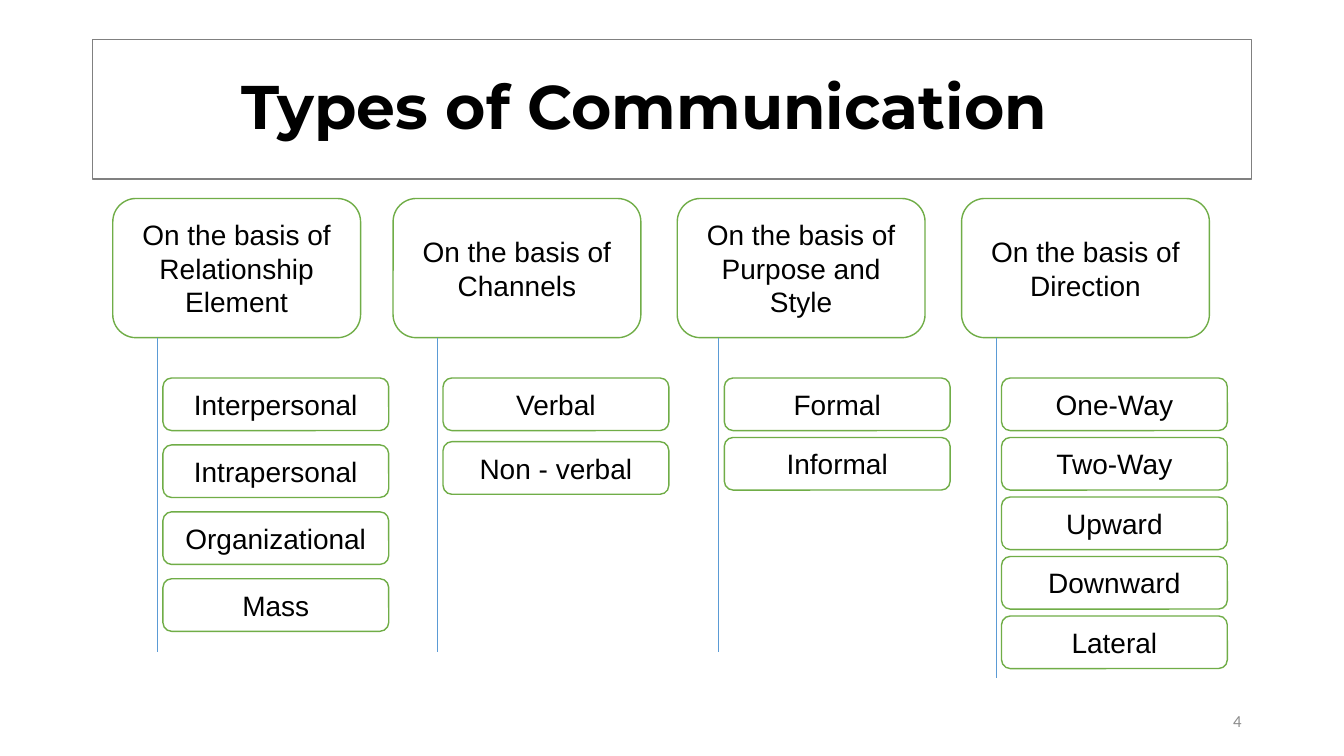
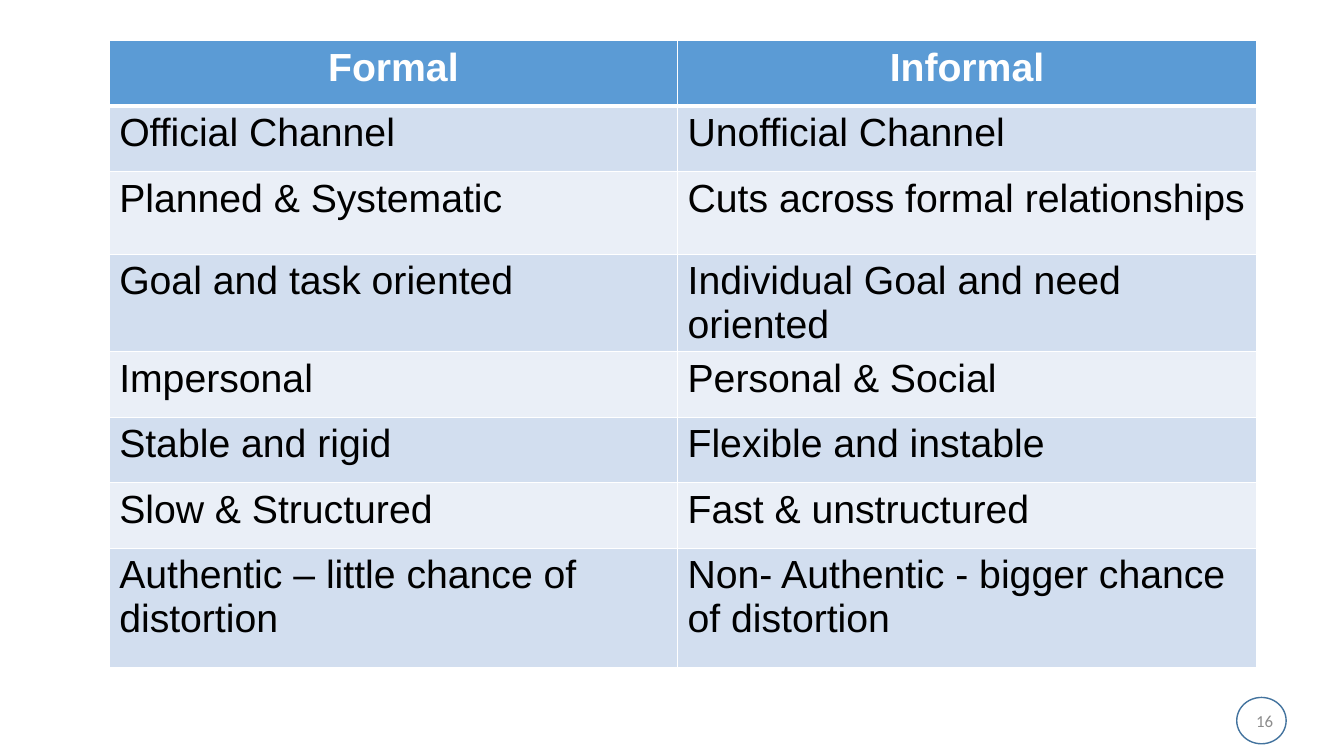
from dataclasses import dataclass

from lxml.etree import SubElement
from pptx import Presentation
from pptx.dml.color import RGBColor
from pptx.enum.shapes import MSO_CONNECTOR, MSO_SHAPE
from pptx.enum.text import MSO_ANCHOR, MSO_AUTO_SIZE, PP_ALIGN
from pptx.oxml.ns import qn
from pptx.presentation import Presentation as Deck
from pptx.shapes.autoshape import Shape
from pptx.slide import Slide
from pptx.table import _Cell as Cell
from pptx.text.text import TextFrame
from pptx.util import Pt


@dataclass(frozen=True)
class Theme:
    ink: str = "000000"
    paper: str = "FFFFFF"
    frame: str = "808080"
    box_line: str = "70AD47"
    accent: str = "5B9BD5"
    ring: str = "43739E"
    page_number: str = "8C8C8C"
    bands: tuple[str, str] = ("D2DEEF", "EAEFF7")
    title_font: str = "Montserrat"
    body_font: str = "Arial"
    number_font: str = "Calibri"
    title_size: float = 44
    box_size: float = 20
    table_size: float = 28
    number_size: float = 12


@dataclass(frozen=True)
class Branch:
    """A heading, the stem below it and the boxes hanging from the stem."""
    heading: str
    items: tuple[str, ...]
    left: float
    stem_x: float
    stem_end: float
    pitch: float


THEME = Theme()

BRANCHES = (
    Branch("On the basis of Relationship Element",
           ("Interpersonal", "Intrapersonal", "Organizational", "Mass"),
           80.6, 112.4, 466, 47.8),
    Branch("On the basis of Channels", ("Verbal", "Non - verbal"),
           280.8, 312.5, 466, 45.5),
    Branch("On the basis of Purpose and Style", ("Formal", "Informal"),
           483.8, 513.4, 466, 42.5),
    Branch("On the basis of Direction",
           ("One-Way", "Two-Way", "Upward", "Downward", "Lateral"),
           686.9, 711.4, 484.6, 42.5),
)
HEADING_TOP, HEADING_WIDTH, HEADING_HEIGHT = 141.8, 177, 99.4
ITEM_TOP, ITEM_WIDTH, ITEM_HEIGHT, ITEM_GAP = 270, 161.3, 37.6, 4

COMPARISON = (
    ("Formal", "Informal"),
    ("Official Channel", "Unofficial Channel"),
    ("Planned & Systematic", "Cuts across formal relationships"),
    ("Goal and task oriented", "Individual Goal and need oriented"),
    ("Impersonal", "Personal & Social"),
    ("Stable and rigid", "Flexible and instable"),
    ("Slow & Structured", "Fast & unstructured"),
    ("Authentic – little chance of distortion",
     "Non- Authentic - bigger chance of distortion"),
)
COLUMN_WIDTHS = (406, 413.5)
ROW_HEIGHTS = (46.8, 46.8, 59, 59, 46.8, 46.8, 46.8, 85)


def rgb(color: str) -> RGBColor:
    return RGBColor.from_string(color)


def write(frame: TextFrame, text: str, font: str, size: float, color: str,
          align: PP_ALIGN = PP_ALIGN.CENTER, bold: bool = False,
          anchor: MSO_ANCHOR = MSO_ANCHOR.MIDDLE) -> None:
    frame.text = text
    frame.word_wrap = True
    frame.vertical_anchor = anchor
    paragraph = frame.paragraphs[0]
    paragraph.alignment = align
    for run in paragraph.runs:
        run.font.name = font
        run.font.size = Pt(size)
        run.font.bold = bold
        run.font.color.rgb = rgb(color)


def add_outlined(slide: Slide, preset: MSO_SHAPE, left: float, top: float,
                 width: float, height: float, line: str) -> Shape:
    shape = slide.shapes.add_shape(preset, Pt(left), Pt(top), Pt(width), Pt(height))
    shape.shadow.inherit = False
    shape.fill.background()
    shape.line.color.rgb = rgb(line)
    shape.line.width = Pt(1)
    return shape


def add_box(slide: Slide, text: str, left: float, top: float,
            width: float, height: float) -> None:
    box = add_outlined(slide, MSO_SHAPE.ROUNDED_RECTANGLE, left, top, width, height,
                       THEME.box_line)
    box.fill.solid()
    box.fill.fore_color.rgb = rgb(THEME.paper)
    write(box.text_frame, text, THEME.body_font, THEME.box_size, THEME.ink)


def add_stem(slide: Slide, x: float, top: float, bottom: float) -> None:
    stem = slide.shapes.add_connector(MSO_CONNECTOR.STRAIGHT,
                                      Pt(x), Pt(top), Pt(x), Pt(bottom))
    stem.line.color.rgb = rgb(THEME.accent)
    stem.line.width = Pt(0.5)
    SubElement(stem.element.spPr, qn("a:effectLst"))


def add_page_number(slide: Slide, number: int, left: float) -> None:
    corner = slide.shapes.add_textbox(Pt(left), Pt(500.5), Pt(216), Pt(28.8))
    write(corner.text_frame, str(number), THEME.number_font, THEME.number_size,
          THEME.page_number, PP_ALIGN.RIGHT)


def add_title(slide: Slide, text: str) -> None:
    title = slide.shapes.title
    title.left, title.top, title.width, title.height = Pt(66), Pt(28), Pt(828), Pt(100)
    title.line.color.rgb = rgb(THEME.frame)
    title.line.width = Pt(1)
    frame = title.text_frame
    write(frame, text, THEME.title_font, THEME.title_size, THEME.ink, bold=True)
    frame.auto_size = MSO_AUTO_SIZE.NONE
    frame.margin_right = Pt(46)
    frame.paragraphs[0].line_spacing = 0.9


def add_branch(slide: Slide, branch: Branch) -> None:
    add_box(slide, branch.heading, branch.left, HEADING_TOP, HEADING_WIDTH, HEADING_HEIGHT)
    add_stem(slide, branch.stem_x, HEADING_TOP + HEADING_HEIGHT, branch.stem_end)
    for index, item in enumerate(branch.items):
        add_box(slide, item, branch.stem_x + ITEM_GAP, ITEM_TOP + index * branch.pitch,
                ITEM_WIDTH, ITEM_HEIGHT)


def set_borders(cell: Cell, top: float, bottom: float) -> None:
    properties = cell._tc.get_or_add_tcPr()
    for side, width in (("L", 1), ("R", 1), ("T", top), ("B", bottom)):
        border = SubElement(properties, qn(f"a:ln{side}"), w=str(Pt(width)))
        fill = SubElement(border, qn("a:solidFill"))
        SubElement(fill, qn("a:srgbClr"), val=THEME.paper)


def add_comparison(slide: Slide) -> None:
    table = slide.shapes.add_table(
        len(COMPARISON), len(COLUMN_WIDTHS), Pt(78), Pt(29),
        Pt(sum(COLUMN_WIDTHS)), Pt(sum(ROW_HEIGHTS))).table
    for column, width in zip(table.columns, COLUMN_WIDTHS):
        column.width = Pt(width)
    for index, (row, height, texts) in enumerate(zip(table.rows, ROW_HEIGHTS, COMPARISON)):
        row.height = Pt(height)
        header = index == 0
        for cell, text in zip(row.cells, texts):
            set_borders(cell, top=3 if index == 1 else 1, bottom=3 if header else 1)
            cell.fill.solid()
            cell.fill.fore_color.rgb = rgb(
                THEME.accent if header else THEME.bands[(index - 1) % 2])
            write(cell.text_frame, text, THEME.body_font, THEME.table_size,
                  THEME.paper if header else THEME.ink,
                  PP_ALIGN.CENTER if header else PP_ALIGN.LEFT,
                  bold=header, anchor=MSO_ANCHOR.TOP)


def build_types_slide(deck: Deck) -> None:
    slide = deck.slides.add_slide(deck.slide_layouts[5])
    add_title(slide, "Types of Communication")
    for branch in BRANCHES:
        add_branch(slide, branch)
    add_page_number(slide, 4, 678)


def build_comparison_slide(deck: Deck) -> None:
    slide = deck.slides.add_slide(deck.slide_layouts[6])
    add_comparison(slide)
    add_page_number(slide, 16, 700.5)
    add_outlined(slide, MSO_SHAPE.OVAL, 883.4, 498.2, 35.3, 33.1, THEME.ring)


def main() -> None:
    deck = Presentation()
    deck.slide_width, deck.slide_height = Pt(960), Pt(540)
    build_types_slide(deck)
    build_comparison_slide(deck)
    deck.save("out.pptx")


if __name__ == "__main__":
    main()
